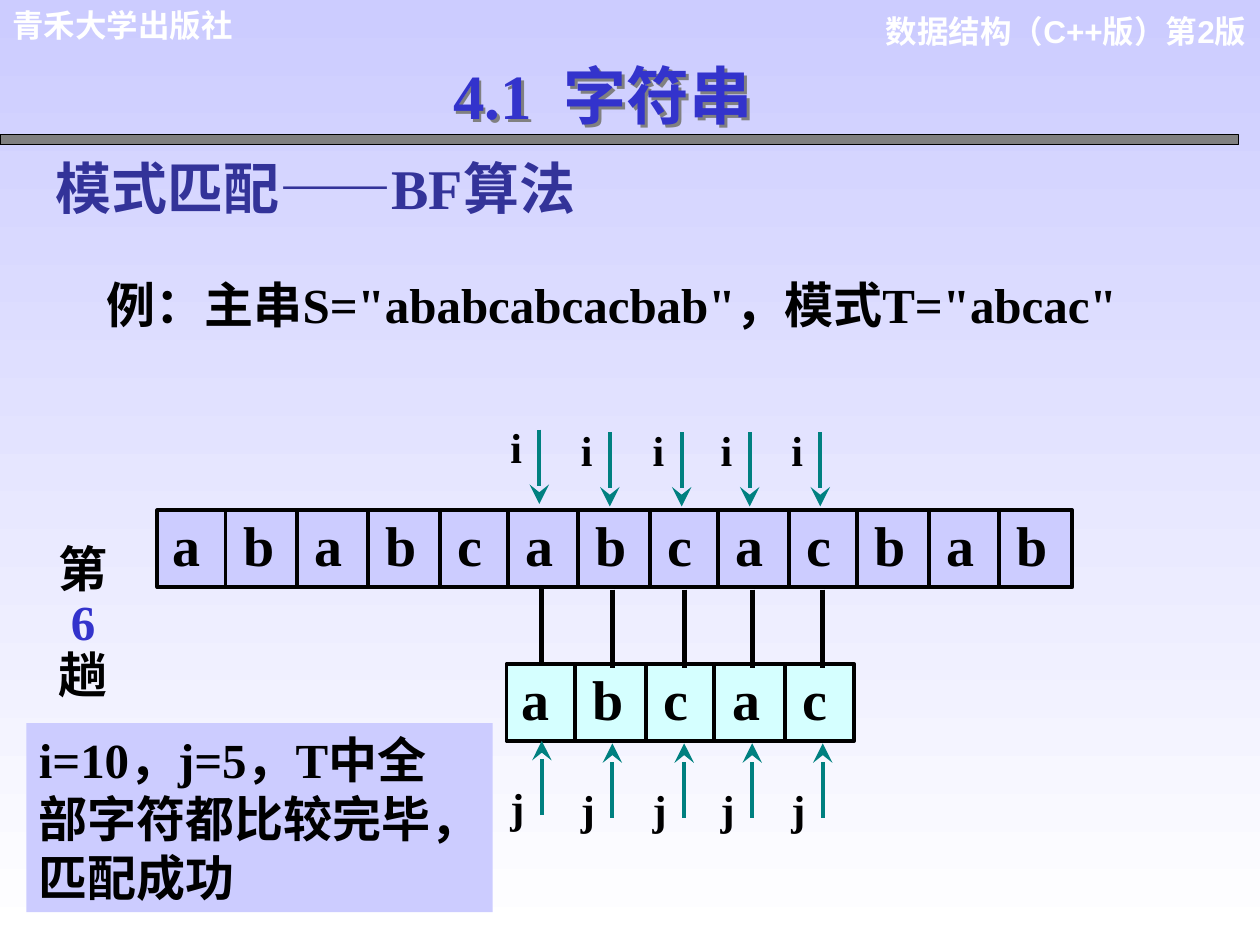
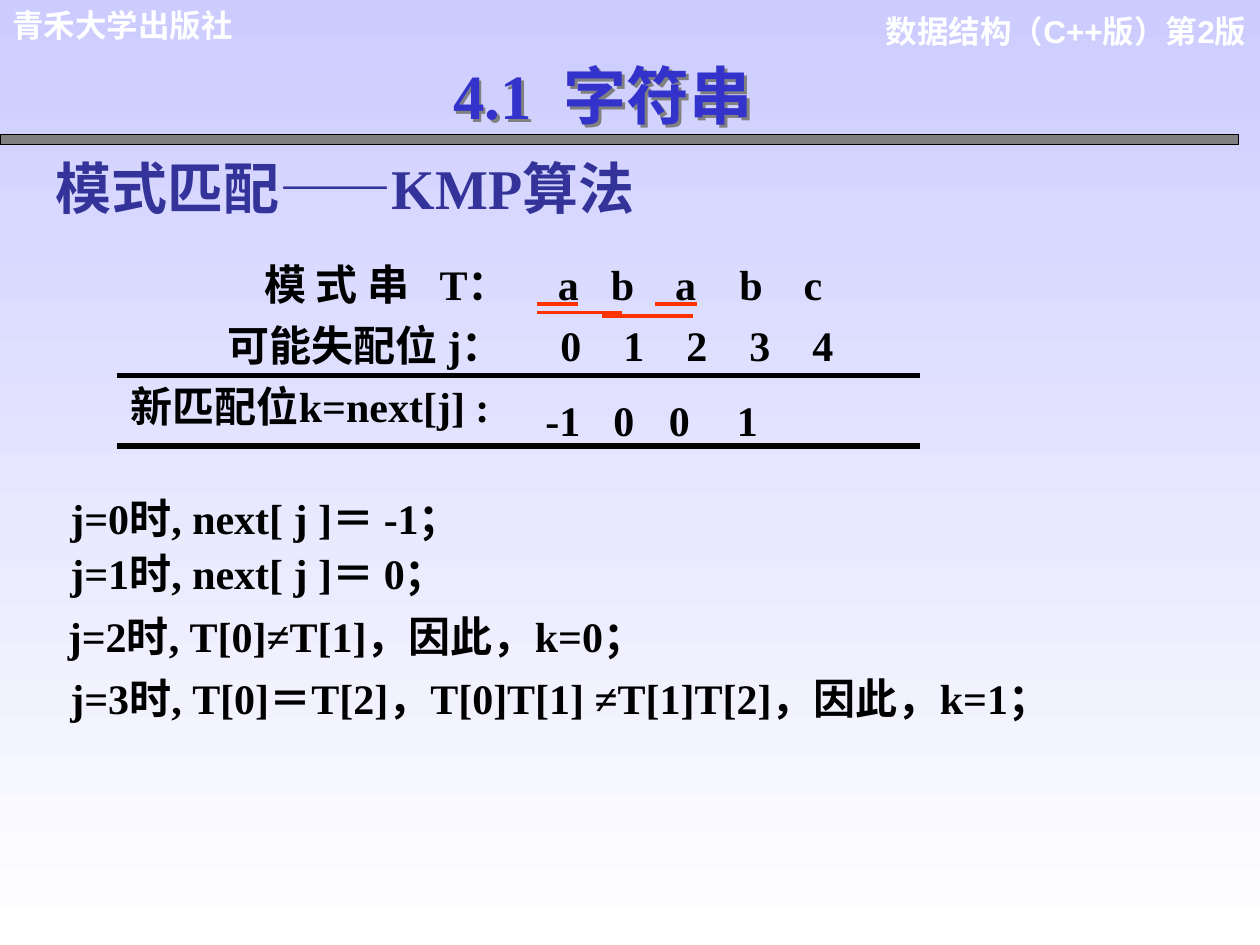
"""Builds two slides on string matching: a BF algorithm pass and the KMP next table."""
from itertools import accumulate

from lxml import etree
from pptx import Presentation
from pptx.dml.color import RGBColor
from pptx.enum import shapes, text
from pptx.oxml.ns import qn
from pptx.util import Inches, Pt

SERIF, SANS = "Times New Roman", "Arial"
BLACK, WHITE, GREY = "000000", "FFFFFF", "808080"
LAVENDER, AQUA, TEAL, RED = "CCCCFF", "D5FFFF", "008080", "FF3300"
TITLE_BLUE, HEADING_BLUE = "3333CC", "333399"
LEFT, CENTER, RIGHT = text.PP_ALIGN.LEFT, text.PP_ALIGN.CENTER, text.PP_ALIGN.RIGHT
PADDING = (0.1, 0.05, 0.1, 0.05)
LETTER_STEP = {"a": 0.56, "b": 0.57, "c": 0.54}


def add_box(holder, place, lines, size, color=BLACK, font=SERIF, align=LEFT, fill=None,
            outline=None, insets=PADDING, stops=(), before=0, spacing=None, wrap=True):
    place = [Inches(value) for value in place]
    if fill:
        box = holder.add_shape(shapes.MSO_SHAPE.RECTANGLE, *place)
        box.shadow.inherit = False
        box.fill.solid()
        box.fill.fore_color.rgb = RGBColor.from_string(fill)
        if outline:
            box.line.color.rgb = RGBColor.from_string(BLACK)
            box.line.width = Pt(outline)
        else:
            box.line.fill.background()
    else:
        box = holder.add_textbox(*place)
    frame = box.text_frame
    frame.word_wrap = wrap
    frame.vertical_anchor = text.MSO_ANCHOR.TOP
    frame.margin_left, frame.margin_top, frame.margin_right, frame.margin_bottom = map(Inches, insets)
    frame.text = "\n".join(lines)
    for index, para in enumerate(frame.paragraphs):
        para.alignment = align
        if index and before:
            para.space_before = Pt(before)
        if spacing:
            para.line_spacing = spacing
        if stops:
            tabs = etree.SubElement(para._p.get_or_add_pPr(), qn("a:tabLst"))
            for stop in stops[index]:
                etree.SubElement(tabs, qn("a:tab"), pos=str(Inches(stop)), algn="l")
        for span in para.runs:
            span.font.name = font
            span.font.size = Pt(size)
            span.font.bold = True
            span.font.color.rgb = RGBColor.from_string(color)
    return box


def add_line(holder, x1, y1, x2, y2, color, width, arrow=False):
    ends = [Inches(value) for value in (x1, y1, x2, y2)]
    line = holder.add_connector(shapes.MSO_CONNECTOR.STRAIGHT, *ends)
    line.line.color.rgb = RGBColor.from_string(color)
    line.line.width = Pt(width)
    properties = line._element.spPr
    if arrow:
        etree.SubElement(properties.find(qn("a:ln")), qn("a:tailEnd"), type="stealth", w="lg", len="lg")
    etree.SubElement(properties, qn("a:effectLst"))


deck = Presentation()
deck.slide_width, deck.slide_height = Inches(10), Inches(7.5)

pages = []
for algorithm in ("BF", "KMP"):
    page = deck.slides.add_slide(deck.slide_layouts[6])
    pages.append(page)
    backdrop = page.background.fill
    backdrop.gradient()
    backdrop.gradient_angle = 270
    for stop, color in zip(backdrop.gradient_stops, (LAVENDER, WHITE)):
        stop.color.rgb = RGBColor.from_string(color)

    add_box(page.shapes, (6.92, 0.05, 3.07, 0.7), ["数据结构（C++版）第2版"], 18, WHITE, SANS, RIGHT)
    add_box(page.shapes, (0, 0, 2.71, 0.4), ["青禾大学出版社"], 18, WHITE, SANS)
    add_box(page.shapes, (0, 1.07, 9.83, 0.08), [], 18, fill=GREY, outline=0.75)
    add_box(page.shapes, (0.34, 1.17, 8.17, 0.64), [f"模式匹配——{algorithm}算法"], 32, HEADING_BLUE)
    title = add_box(page.shapes, (2.93, 0.4, 3.71, 0.7), ["4.1  字符串"], 36, TITLE_BLUE, align=CENTER)
    effects = etree.SubElement(title._element.spPr, qn("a:effectLst"))
    shadow = etree.SubElement(effects, qn("a:outerShdw"), dist=str(Inches(0.03)), dir="2700000")
    etree.SubElement(shadow, qn("a:srgbClr"), val=GREY)

bf_page, kmp_page = (page.shapes for page in pages)

add_box(bf_page, (0.75, 2.13, 8.92, 0.57), ['例：主串S="ababcabcacbab"，模式T="abcac"'], 28)

for letters, left, top, width, fill in (("ababcabcacbab", 1.25, 4.05, 7.26, LAVENDER),
                                        ("abcac", 4.02, 5.27, 2.76, AQUA)):
    offsets = list(accumulate(LETTER_STEP[letter] for letter in letters[:-1]))
    add_box(bf_page, (left, top, width, 0.61), ["\t".join(letters)], 32, fill=fill, outline=2.25,
            insets=(0.12, 0, 0.02, 0), stops=[offsets])
    for offset in offsets:
        x = left + offset - 0.02
        add_line(bf_page, x, top, x, top + 0.61, BLACK, 2.25)

for index, offset in enumerate([0] + offsets):
    x = 4.3 + offset
    drop = 0.02 if index else 0
    match = bf_page.add_group_shape().shapes
    add_line(match, x, 4.66 + drop, x, 5.28 + drop, BLACK, 3)
    add_line(match, x - 0.02, 3.41 + drop, x - 0.02, 4 + drop, TEAL, 2.25, arrow=True)
    add_line(match, x, 6.47 + drop, x, 5.88 + drop, TEAL, 2.25, arrow=True)
    for pointer, top in (("i", 3.3), ("j", 6.15)):
        add_box(match, (x - 0.25, top + drop, 0.25, 0.5), [pointer], 24, insets=(0, 0.05, 0, 0.05))

add_box(bf_page, (0.21, 5.74, 3.7, 1.5), ["i=10，j=5，T中全部字符都比较完毕，匹配成功"], 28, fill=LAVENDER,
        insets=(0.1, 0.05, 0.35, 0.05))
round_box = add_box(bf_page, (0.37, 4.28, 0.71, 1.36), ["第", "6", "趟"], 28, align=CENTER,
                    insets=(0.05, 0.05, 0.18, 0.05), spacing=0.9)
round_number = round_box.text_frame.paragraphs[1].runs[0]
round_number.font.color.rgb = RGBColor.from_string(TITLE_BLUE)

add_box(kmp_page, (0.94, 2, 7.54, 1.5),
        ["\t模 式 串\tT：\ta\tb\ta\tb\tc", "\t可能失配位 j：\t0\t1\t2\t3\t4", "新匹配位k=next[j] :"], 24,
        before=6, stops=[(1.06, 2.45, 3.39, 3.81, 4.32, 4.83, 5.34),
                         [0.77] + [3.41 + 0.5 * step for step in range(5)], ()])
for left, value in ((4.23, "-1"), (4.77, "0"), (5.21, "0"), (5.75, "1")):
    add_box(kmp_page, (left, 3.08, 0.24 + 0.12 * len(value), 0.5), [value], 24, wrap=False)
for y in (2.98, 3.54):
    add_line(kmp_page, 0.93, y, 7.3, y, BLACK, 3)
for start, end, y in ((4.26, 4.59, 2.41), (5.2, 5.53, 2.41), (4.26, 4.94, 2.48), (4.78, 5.5, 2.51)):
    add_line(kmp_page, start, y, end, y, RED, 2.25)

add_box(kmp_page, (0.46, 3.82, 6.42, 0.98), ["j=0时, next[ j ]＝ -1；", "j=1时, next[ j ]＝ 0；"], 24, spacing=1.1)
add_box(kmp_page, (0.44, 4.8, 6.47, 0.5), ["j=2时, T[0]≠T[1]，因此，k=0；"], 24)
add_box(kmp_page, (0.46, 5.29, 8.51, 0.5), ["j=3时, T[0]＝T[2]，T[0]T[1] ≠T[1]T[2]，因此，k=1；"], 24)

deck.save("out.pptx")
